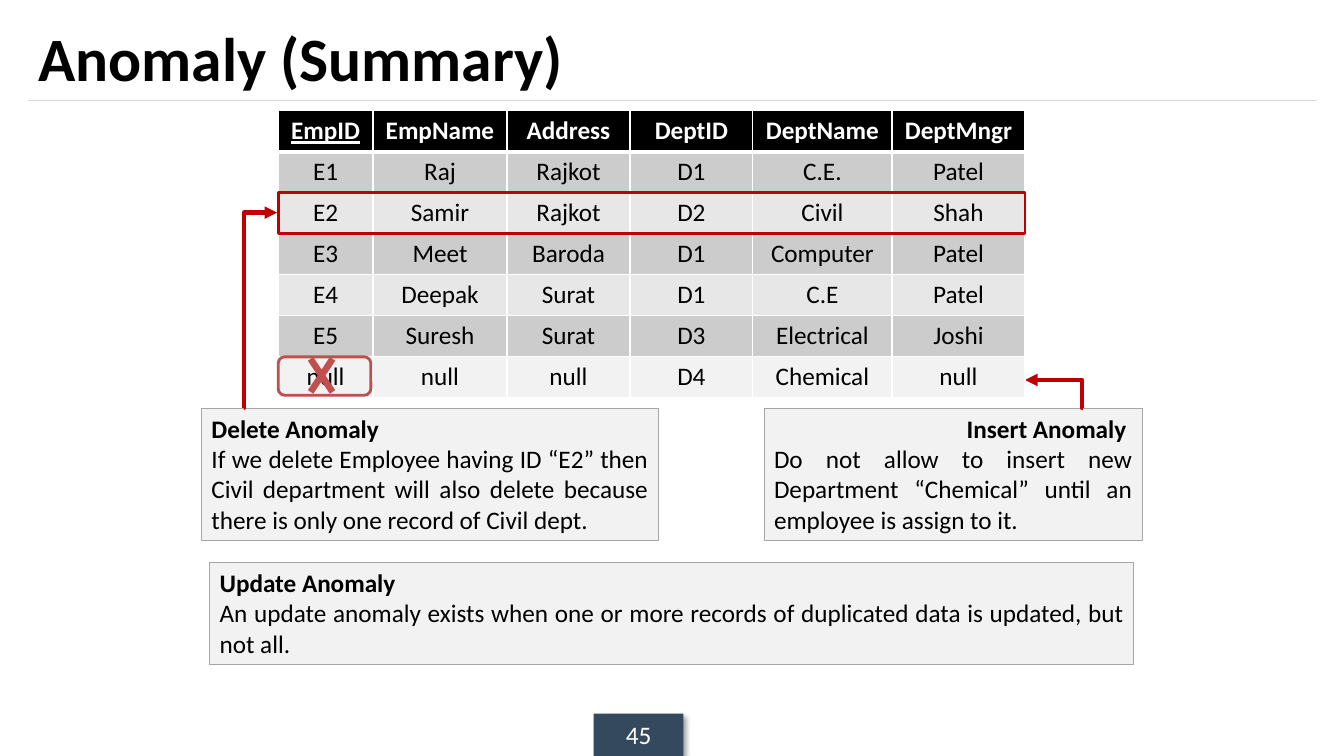
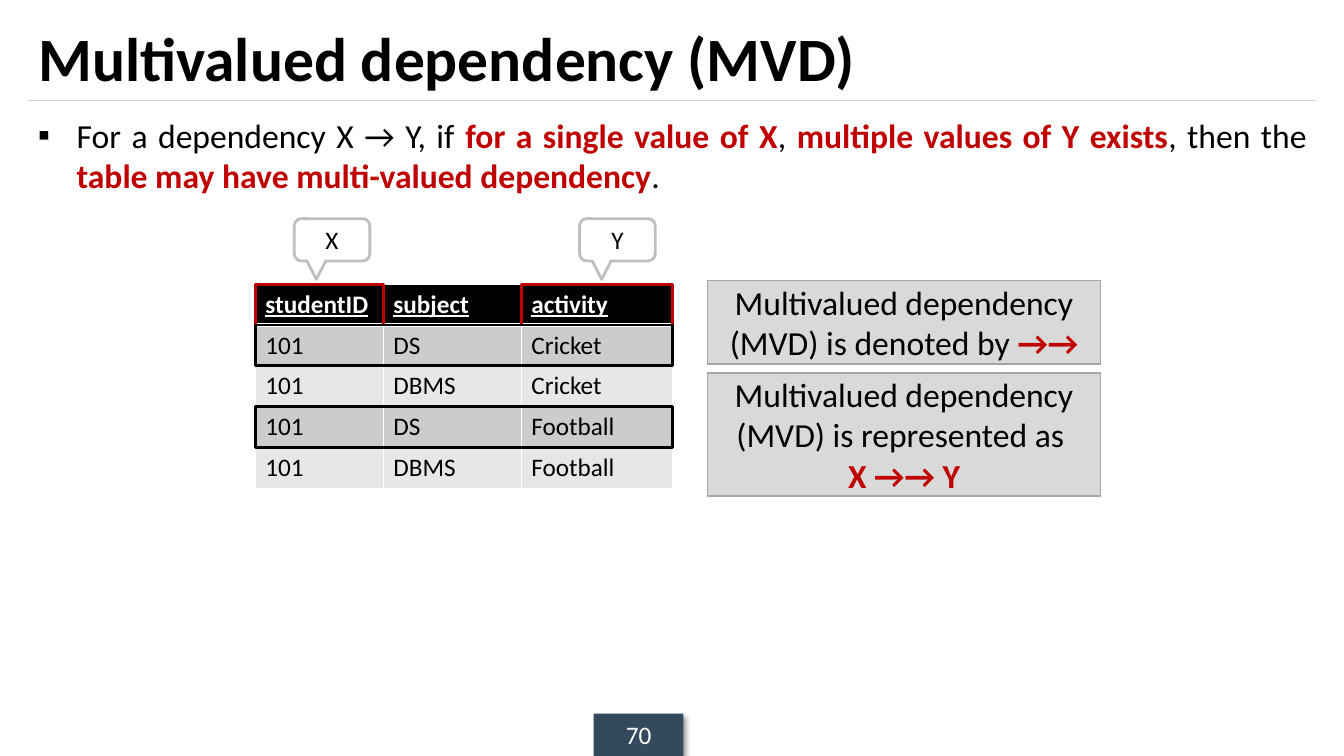
from dataclasses import dataclass
from typing import NamedTuple

from lxml.etree import SubElement
from pptx import Presentation
from pptx.dml.color import RGBColor
from pptx.enum.shapes import MSO_CONNECTOR as Connector, MSO_SHAPE as Preset
from pptx.enum.text import MSO_ANCHOR as Anchor, MSO_AUTO_SIZE as AutoSize, PP_ALIGN as Align
from pptx.oxml.ns import qn
from pptx.util import Pt

FONT = "Calibri"
BLACK = RGBColor(0x00, 0x00, 0x00)
WHITE = RGBColor(0xFF, 0xFF, 0xFF)
RED = RGBColor(0xC0, 0x00, 0x00)
SOFT_RED = RGBColor(0xC0, 0x50, 0x4D)
SLATE = RGBColor(0x34, 0x49, 0x5E)
RULE_GRAY = RGBColor(0xD9, 0xD9, 0xD9)
EDGE_GRAY = RGBColor(0xA6, 0xA6, 0xA6)
CALLOUT_GRAY = RGBColor(0xBF, 0xBF, 0xBF)
PALE_GRAY = RGBColor(0xF2, 0xF2, 0xF2)
BANDS = (RGBColor(0xCC, 0xCC, 0xCC), RGBColor(0xE7, 0xE7, 0xE7))

ROW_HEIGHT = 29.2
BULLET_INDENT = 27.4


class Box(NamedTuple):
    left: float
    top: float
    width: float
    height: float

    def lengths(self) -> list:
        return [Pt(value) for value in self]


class Span(NamedTuple):
    text: str
    color: RGBColor = BLACK
    bold: bool = False


class Para(NamedTuple):
    spans: tuple
    align: Align = Align.LEFT


@dataclass(frozen=True)
class Grid:
    """Place and column widths of a table with equal rows."""
    left: float
    top: float
    widths: tuple

    def area(self, row: int, first: int, last: int) -> Box:
        """Box around the cells of one row, from the first to the last column."""
        return Box(self.left + sum(self.widths[:first]), self.top + row * ROW_HEIGHT,
                   sum(self.widths[first:last + 1]), ROW_HEIGHT)


@dataclass(frozen=True)
class Note:
    box: Box
    paras: tuple


TITLE_BOX = Box(20.2, 8.6, 920.2, 63.4)
NUMBER_BOX = Box(424.1, 509.8, 64.1, 30.2)

EMPLOYEE_GRID = Grid(198.7, 79.2, (67.7, 95.8, 87.8, 87.8, 99.4, 95))
EMPLOYEES = (
    ("EmpID", "EmpName", "Address", "DeptID", "DeptName", "DeptMngr"),
    ("E1", "Raj", "Rajkot", "D1", "C.E.", "Patel"),
    ("E2", "Samir", "Rajkot", "D2", "Civil", "Shah"),
    ("E3", "Meet", "Baroda", "D1", "Computer", "Patel"),
    ("E4", "Deepak", "Surat", "D1", "C.E", "Patel"),
    ("E5", "Suresh", "Surat", "D3", "Electrical", "Joshi"),
)
NEW_DEPARTMENT = (("null", "null", "null", "D4", "Chemical", "null"),)

ANOMALIES = (
    Note(Box(545.8, 291.6, 270, 94.3), (
        Para((Span("Insert Anomaly ", bold=True),), Align.RIGHT),
        Para((Span("Do not allow to insert new Department “Chemical” until an "
                   "employee is assign to it."),), Align.JUSTIFY))),
    Note(Box(149.8, 401.8, 660.2, 72.7), (
        Para((Span("Update Anomaly", bold=True),)),
        Para((Span("An update anomaly exists when one or more records of duplicated "
                   "data is updated, but not all."),), Align.JUSTIFY))),
    Note(Box(144, 291.6, 326.2, 94.3), (
        Para((Span("Delete Anomaly", bold=True),)),
        Para((Span("If we delete Employee having ID “E2” then Civil department will also "
                   "delete because there is only one record of Civil dept."),), Align.JUSTIFY))),
)

STUDENT_GRID = Grid(182.4, 203, (91.4, 98.6, 108))
STUDENTS = (
    ("studentID", "subject", "activity"),
    ("101", "DS", "Cricket"),
    ("101", "DBMS", "Cricket"),
    ("101", "DS", "Football"),
    ("101", "DBMS", "Football"),
)
DEFINITION = Para((
    Span("For a dependency X → Y, if "),
    Span("for a single value of X", RED, True),
    Span(", "),
    Span("multiple values of Y exists", RED, True),
    Span(", then the "),
    Span("table may have multi-valued dependency", RED, True),
    Span("."),
), Align.JUSTIFY)
NOTATIONS = (
    Note(Box(505.4, 200.2, 280.8, 59.8), (
        Para((Span("Multivalued dependency (MVD) is denoted by "),
              Span("→→", RED, True)), Align.CENTER),)),
    Note(Box(505.4, 266.4, 280.8, 87.8), (
        Para((Span("Multivalued dependency (MVD) is represented as "),), Align.CENTER),
        Para((Span("X →→ Y", RED, True),), Align.CENTER))),
)


def add_span(para, text: str, *, size: float = 18, color: RGBColor = BLACK,
             bold: bool = False, underline: bool = False) -> None:
    run = para.add_run()
    run.text = text
    font = run.font
    font.name, font.size, font.bold, font.underline = FONT, Pt(size), bold, underline
    font.color.rgb = color


def write_paras(frame, paras: tuple, *, size: float = 18, anchor: Anchor = Anchor.TOP) -> None:
    frame.word_wrap = True
    frame.vertical_anchor = anchor
    for index, content in enumerate(paras):
        para = frame.add_paragraph() if index else frame.paragraphs[0]
        para.alignment = content.align
        for span in content.spans:
            add_span(para, span.text, size=size, color=span.color, bold=span.bold)


def add_box(slide, preset: Preset, box: Box, *, fill: RGBColor | None = None,
            line: RGBColor | None = None, width: float = 2, adjustments: tuple = ()):
    shape = slide.shapes.add_shape(preset, *box.lengths())
    shape.shadow.inherit = False
    for index, value in enumerate(adjustments):
        shape.adjustments[index] = value
    if fill is None:
        shape.fill.background()
    else:
        shape.fill.solid()
        shape.fill.fore_color.rgb = fill
    if line is None:
        shape.line.fill.background()
    else:
        shape.line.color.rgb = line
        shape.line.width = Pt(width)
    return shape


def add_line(slide, kind: Connector, start: tuple, end: tuple, *, color: RGBColor, width: float):
    points = [Pt(value) for value in (*start, *end)]
    connector = slide.shapes.add_connector(kind, *points)
    connector.line.color.rgb = color
    connector.line.width = Pt(width)
    SubElement(connector._element.spPr, qn("a:effectLst"))
    return connector


def add_bent_arrow(slide, start: tuple, end: tuple) -> None:
    """Arrow that leaves its start vertically and reaches its end horizontally."""
    arrow = add_line(slide, Connector.ELBOW, start, end, color=RED, width=3)
    geometry = arrow._element.spPr.find(qn("a:prstGeom"))
    guides = geometry.find(qn("a:avLst"))
    if guides is None:
        guides = SubElement(geometry, qn("a:avLst"))
    SubElement(guides, qn("a:gd"), name="adj1", fmla="val 1000")
    SubElement(arrow.line._get_or_add_ln(), qn("a:tailEnd"), type="triangle")


def set_borders(cell, top: float, bottom: float) -> None:
    properties = cell._tc.get_or_add_tcPr()
    sides = (("L", 1), ("R", 1), ("T", top), ("B", bottom))
    for index, (side, width) in enumerate(sides):
        border = SubElement(properties, qn(f"a:ln{side}"), w=str(Pt(width)))
        fill = SubElement(border, qn("a:solidFill"))
        SubElement(fill, qn("a:srgbClr"), val=str(WHITE))
        properties.insert(index, border)


def add_grid(slide, grid: Grid, rows: tuple, *, align: Align = Align.LEFT, header: bool = True,
             bands: tuple = BANDS, underlined: tuple = ()) -> None:
    """Table with a black header row, if any, over rows in alternating fills."""
    box = Box(grid.left, grid.top, sum(grid.widths), ROW_HEIGHT * len(rows))
    table = slide.shapes.add_table(len(rows), len(grid.widths), *box.lengths()).table
    table.first_row = table.horz_banding = False
    for column, width in zip(table.columns, grid.widths):
        column.width = Pt(width)
    for row_index, texts in enumerate(rows):
        table.rows[row_index].height = Pt(ROW_HEIGHT)
        is_header = header and row_index == 0
        fill = BLACK if is_header else bands[(row_index - header) % len(bands)]
        for column_index, text in enumerate(texts):
            cell = table.cell(row_index, column_index)
            cell.fill.solid()
            cell.fill.fore_color.rgb = fill
            set_borders(cell, 3 if header and row_index == 1 else 1, 3 if is_header else 1)
            para = cell.text_frame.paragraphs[0]
            para.alignment = align
            add_span(para, text, color=WHITE if is_header else BLACK, bold=is_header,
                     underline=is_header and column_index in underlined)


def add_page(deck, title: str, number: int):
    """Slide with the shared title, rule and number tab."""
    slide = deck.slides.add_slide(deck.slide_layouts[5])
    add_line(slide, Connector.STRAIGHT, (20.2, 72), (940.4, 72), color=RULE_GRAY, width=0.75)

    tab = add_box(slide, Preset.RECTANGLE, NUMBER_BOX, fill=SLATE)
    effects = tab._element.spPr.find(qn("a:effectLst"))
    shadow = SubElement(effects, qn("a:outerShdw"), blurRad=str(Pt(4)), dist=str(Pt(3)),
                        dir="2700000", algn="tl", rotWithShape="0")
    color = SubElement(shadow, qn("a:srgbClr"), val=str(BLACK))
    SubElement(color, qn("a:alpha"), val="40000")
    write_paras(tab.text_frame, (Para((Span(str(number), WHITE),), Align.CENTER),),
                anchor=Anchor.MIDDLE)

    heading = slide.shapes.title
    heading.left, heading.top, heading.width, heading.height = TITLE_BOX.lengths()
    write_paras(heading.text_frame, (Para((Span(title, bold=True),)),), size=44,
                anchor=Anchor.MIDDLE)
    heading.text_frame.auto_size = AutoSize.NONE
    return slide


def add_anomaly_page(deck) -> None:
    slide = add_page(deck, "Anomaly (Summary)", 45)
    add_grid(slide, EMPLOYEE_GRID, EMPLOYEES, align=Align.CENTER, underlined=(0,))
    for note in ANOMALIES:
        box = add_box(slide, Preset.RECTANGLE, note.box, fill=PALE_GRAY, line=EDGE_GRAY, width=0.75)
        write_paras(box.text_frame, note.paras)
    add_bent_arrow(slide, (174.2, 291.6), (198, 151.9))
    add_bent_arrow(slide, (773.3, 291.6), (732.2, 271.4))
    add_box(slide, Preset.RECTANGLE, EMPLOYEE_GRID.area(2, 0, 5), line=RED)

    new_row = Grid(EMPLOYEE_GRID.left, 254.9, EMPLOYEE_GRID.widths)
    add_grid(slide, new_row, NEW_DEPARTMENT, align=Align.CENTER, header=False, bands=(PALE_GRAY,))
    add_box(slide, Preset.ROUNDED_RECTANGLE, Box(198.7, 254.9, 66.2, 27.4), line=SOFT_RED)
    add_box(slide, Preset.MATH_MULTIPLY, Box(214.6, 245.5, 30.2, 45.4), fill=SOFT_RED,
            adjustments=(0.154,))


def add_dependency_page(deck) -> None:
    slide = add_page(deck, "Multivalued dependency (MVD)", 70)
    body = slide.shapes.add_textbox(*Box(20.2, 78.5, 920.2, 66).lengths()).text_frame
    properties = body.paragraphs[0]._p.get_or_add_pPr()
    properties.set("marL", str(Pt(BULLET_INDENT)))
    properties.set("indent", str(-Pt(BULLET_INDENT)))
    SubElement(properties, qn("a:buFont"), typeface=FONT)
    SubElement(properties, qn("a:buChar"), char="▪")
    write_paras(body, (DEFINITION,), size=24)

    add_grid(slide, STUDENT_GRID, STUDENTS, underlined=(0, 1, 2))
    for column in (0, 2):
        add_box(slide, Preset.RECTANGLE, STUDENT_GRID.area(0, column, column), line=RED)
    for row in (1, 3):
        add_box(slide, Preset.RECTANGLE, STUDENT_GRID.area(row, 0, 2), line=BLACK)
    for label, left in (("X", 210.2), ("Y", 414)):
        callout = add_box(slide, Preset.ROUNDED_RECTANGULAR_CALLOUT, Box(left, 156.2, 54, 30.2),
                          fill=WHITE, line=CALLOUT_GRAY, adjustments=(-0.208, 0.934, 0.167))
        write_paras(callout.text_frame, (Para((Span(label),), Align.CENTER),),
                    anchor=Anchor.MIDDLE)
    for note in NOTATIONS:
        box = add_box(slide, Preset.RECTANGLE, note.box, fill=RULE_GRAY, line=EDGE_GRAY, width=1)
        write_paras(box.text_frame, note.paras, size=24, anchor=Anchor.MIDDLE)


def main() -> None:
    deck = Presentation()
    deck.slide_width, deck.slide_height = Pt(960), Pt(540)
    add_anomaly_page(deck)
    add_dependency_page(deck)
    deck.save("out.pptx")


if __name__ == "__main__":
    main()
